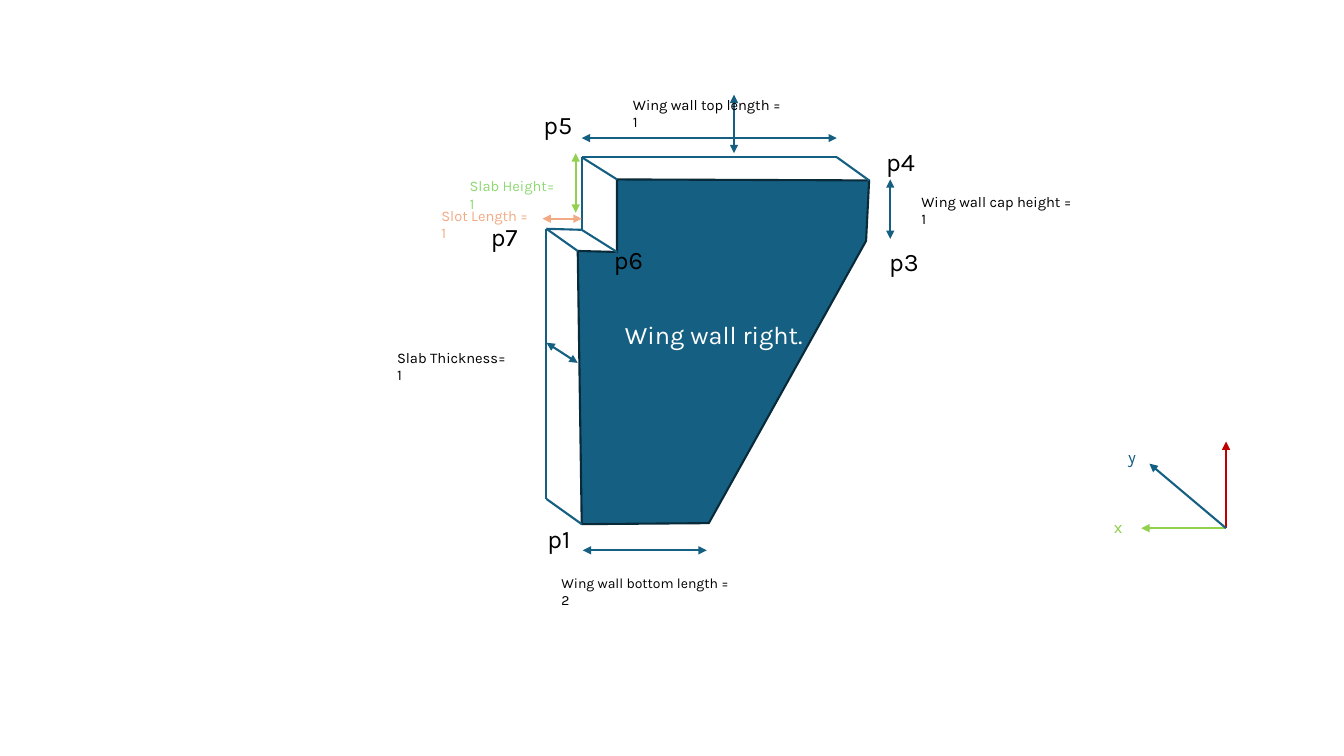
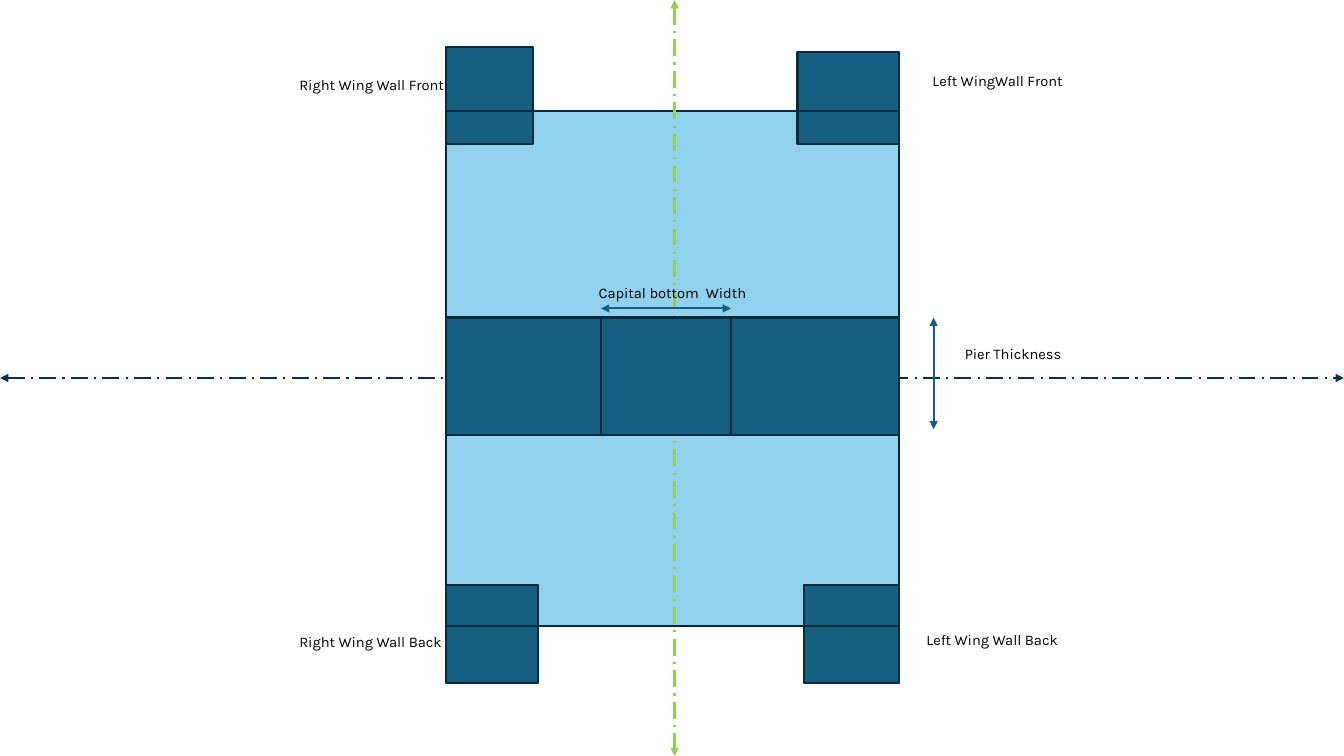
from itertools import pairwise

from lxml import etree
from pptx import Presentation
from pptx import util as u
from pptx.dml.color import RGBColor
from pptx.enum import dml, shapes, text
from pptx.oxml.ns import qn

SLIDE_W, SLIDE_H = 13.33, 7.5
FONT = "Karla"
TEAL, EDGE, AXIS_DARK = "156082", "092A39", "0B3041"
GREEN, LIGHT_GREEN, PEACH, RED = "92D050", "8ED973", "F2AA84", "C00000"
SKY, BLACK, WHITE = "4AB3E2", "000000", "FFFFFF"
LINE_PT = 1.5
NOTE_PT, POINT_PT = 10.5, 18


def rgb(color):
    return RGBColor.from_string(color)


def emu(*lengths):
    return [u.Inches(length) for length in lengths]


def paint(shape, fill, alpha=None):
    """Fill and outline a shape; alpha is the opacity in percent."""
    shape.shadow.inherit = False
    shape.fill.solid()
    shape.fill.fore_color.rgb = rgb(fill)
    if alpha is not None:
        color = shape.fill._xPr.find(f".//{qn('a:srgbClr')}")
        etree.SubElement(color, qn("a:alpha")).set("val", str(alpha * 1000))
    shape.line.color.rgb = rgb(EDGE)
    shape.line.width = u.Pt(LINE_PT)


def block(slide, left, top, right, bottom, fill=TEAL, alpha=None):
    box = slide.shapes.add_shape(
        shapes.MSO_SHAPE.RECTANGLE, *emu(left, top, right - left, bottom - top))
    paint(box, fill, alpha)


def outline(slide, points, fill):
    """Draw a closed polygon; corners go in as EMU, since the pen rounds them."""
    start, *others = [emu(*point) for point in points]
    pen = slide.shapes.build_freeform(*start)
    pen.add_line_segments(others, close=True)
    paint(pen.convert_to_shape(), fill)


def edge(slide, start, end, color=TEAL, arrows=(), dashed=False):
    """Draw a straight line; arrows names the ends that carry a triangle."""
    line = slide.shapes.add_connector(
        shapes.MSO_CONNECTOR.STRAIGHT, *emu(*start, *end))
    line.line.color.rgb = rgb(color)
    line.line.width = u.Pt(LINE_PT)
    if dashed:
        line.line.dash_style = dml.MSO_LINE.LONG_DASH_DOT
    stroke = line.line._get_or_add_ln()
    for arrow in arrows:
        etree.SubElement(stroke, qn(f"a:{arrow}End")).set("type", "triangle")
    etree.SubElement(line._element.spPr, qn("a:effectLst"))


def dimension(slide, start, end, color=TEAL, dashed=False):
    edge(slide, start, end, color, ("head", "tail"), dashed)


def label(slide, words, left, top, width, size=NOTE_PT, color=BLACK,
          align=text.PP_ALIGN.LEFT):
    box = slide.shapes.add_textbox(*emu(left, top, width, size / 45))
    frame = box.text_frame
    frame.word_wrap = True
    frame.auto_size = text.MSO_AUTO_SIZE.SHAPE_TO_FIT_TEXT
    paragraph = frame.paragraphs[0]
    paragraph.alignment = align
    run = paragraph.add_run()
    run.text = words
    run.font.name = FONT
    run.font.size = u.Pt(size)
    run.font.color.rgb = rgb(color)


def wing_wall_solid(slide):
    front = {"p1": (5.77, 5.2), "p2": (7.03, 5.19), "p3": (8.59, 2.39),
             "p4": (8.62, 1.79), "p5": (6.12, 1.78), "p6": (6.12, 2.5),
             "p7": (5.73, 2.49)}
    back = {"p4": (8.3, 1.56), "p5": (5.77, 1.56), "p6": (5.77, 2.28),
            "p7": (5.42, 2.27), "p1": (5.42, 4.95)}
    outline(slide, list(front.values()), TEAL)
    for point, corner in back.items():
        edge(slide, front[point], corner)
    for start, end in pairwise(back.values()):
        edge(slide, start, end)


def wing_wall_slide(slide):
    wing_wall_solid(slide)

    for start, end, color in [
        ((5.78, 5.46), (7.01, 5.46), TEAL),
        ((8.83, 1.78), (8.83, 2.37), TEAL),
        ((5.42, 3.4), (5.73, 3.6), TEAL),
        ((5.77, 1.37), (8.3, 1.37), TEAL),
        ((5.71, 1.52), (5.71, 2.11), GREEN),
        ((5.38, 2.17), (5.77, 2.17), PEACH),
        ((7.28, 0.94), (7.28, 1.52), TEAL),
    ]:
        dimension(slide, start, end, color)

    label(slide, "Wing wall bottom length = 2", 5.47, 5.65, 1.87, 10)
    for words, left, top, width, color in [
        ("Wing wall cap height = 1", 9.04, 1.86, 1.72, BLACK),
        ("Wing wall top length = 1", 6.18, 0.9, 1.7, BLACK),
        ("Slab Thickness= 1", 3.84, 3.41, 1.32, BLACK),
        ("Slot Length = 1", 4.28, 2, 1.1, PEACH),
        ("Slab Height= 1", 4.56, 1.71, 1.08, LIGHT_GREEN),
    ]:
        label(slide, words, left, top, width, color=color)

    label(slide, "Wing wall right.", 6.1, 3.12, 1.99, POINT_PT, WHITE)
    for point, left, top in [
        ("p1", 5.33, 5.14), ("p3", 8.72, 2.39), ("p4", 8.69, 1.4),
        ("p5", 5.29, 1.04), ("p6", 5.99, 2.37), ("p7", 4.77, 2.15),
    ]:
        label(slide, point, left, top, 0.68, POINT_PT)

    origin = (12.16, 5.24)
    for tip, color in [((12.16, 4.38), RED), ((11.32, 5.24), GREEN),
                       ((11.4, 4.6), TEAL)]:
        edge(slide, origin, tip, color, ("tail",))
    label(slide, "x", 10.95, 5.08, 0.24, 12, GREEN)
    label(slide, "y", 11.09, 4.38, 0.24, 12, TEAL)


def plan_slide(slide):
    left, top, right, bottom = 4.42, 1.1, 8.92, 6.21
    pier_top, pier_bottom = 3.15, 4.32
    capital_left, capital_right = 5.96, 7.25
    center_x, center_y = 6.69, SLIDE_H / 2

    block(slide, left, top, right, bottom, SKY, 60)
    dimension(slide, (center_x, 0), (center_x, SLIDE_H), GREEN, dashed=True)
    dimension(slide, (0, center_y), (SLIDE_W, center_y), AXIS_DARK, dashed=True)

    for near, far, front_y, inner_y, outer_y in [
        (left, left + 0.87, top, 1.43, 0.47),
        (right - 1.01, right, top, 1.43, 0.52),
        (left, left + 0.92, bottom, 5.8, 6.78),
        (right - 0.95, right, bottom, 5.8, 6.78),
    ]:
        for part_y in (inner_y, outer_y):
            block(slide, near, min(front_y, part_y), far, max(front_y, part_y))

    block(slide, left, pier_top, right, pier_bottom)
    block(slide, capital_left, pier_top, capital_right, pier_bottom)

    for words, x, y in [
        ("Left WingWall Front", 9.15, 0.66),
        ("Right Wing Wall Front", 2.87, 0.7),
        ("Right Wing Wall Back", 2.87, 6.23),
        ("Left Wing Wall Back", 9.09, 6.21),
        ("Pier Thickness", 9.47, 3.37),
    ]:
        label(slide, words, x, y, 1.98)
    label(slide, "Capital bottom  Width", 5.68, 2.77, 1.98,
          align=text.PP_ALIGN.CENTER)
    dimension(slide, (9.26, pier_top), (9.26, 4.26))
    dimension(slide, (capital_right, 3.06), (capital_left, 3.06))


def main():
    deck = Presentation()
    deck.slide_width, deck.slide_height = emu(SLIDE_W, SLIDE_H)
    blank = deck.slide_layouts[6]
    for draw in (wing_wall_slide, plan_slide):
        draw(deck.slides.add_slide(blank))
    deck.save("out.pptx")


if __name__ == "__main__":
    main()
